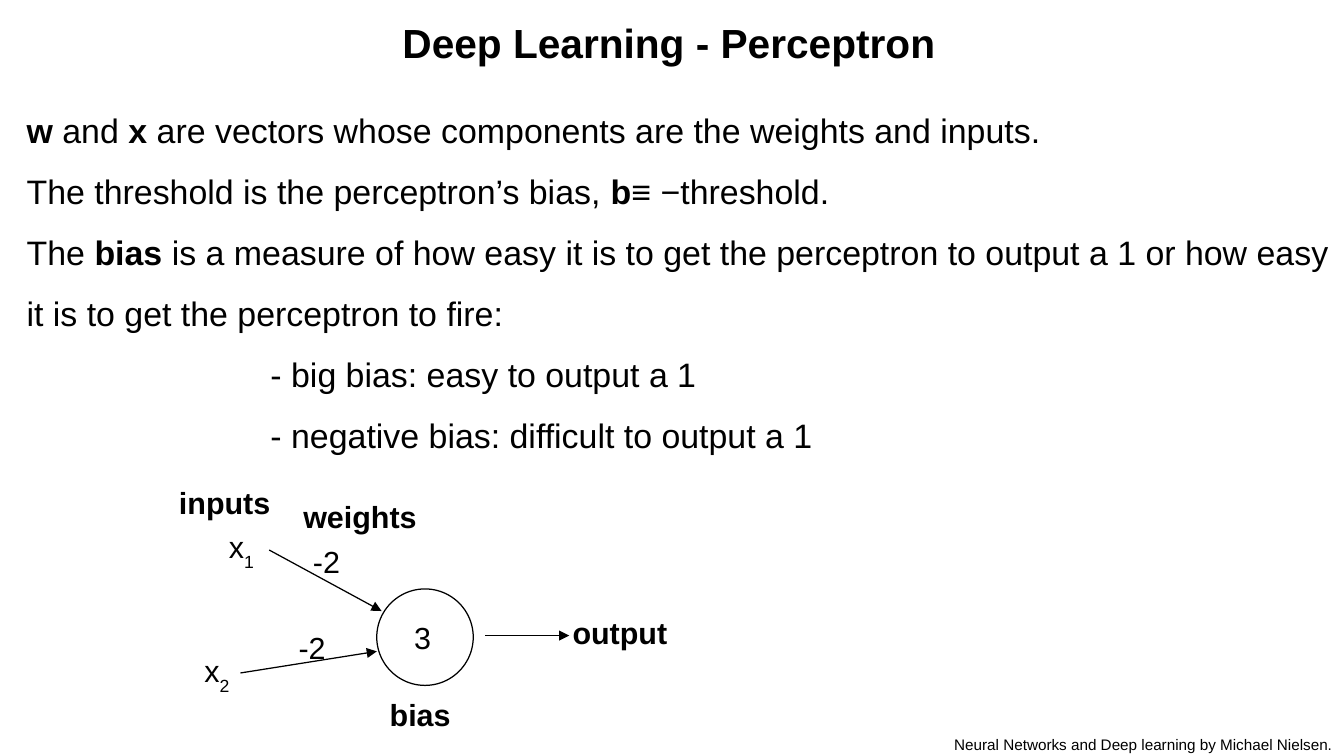
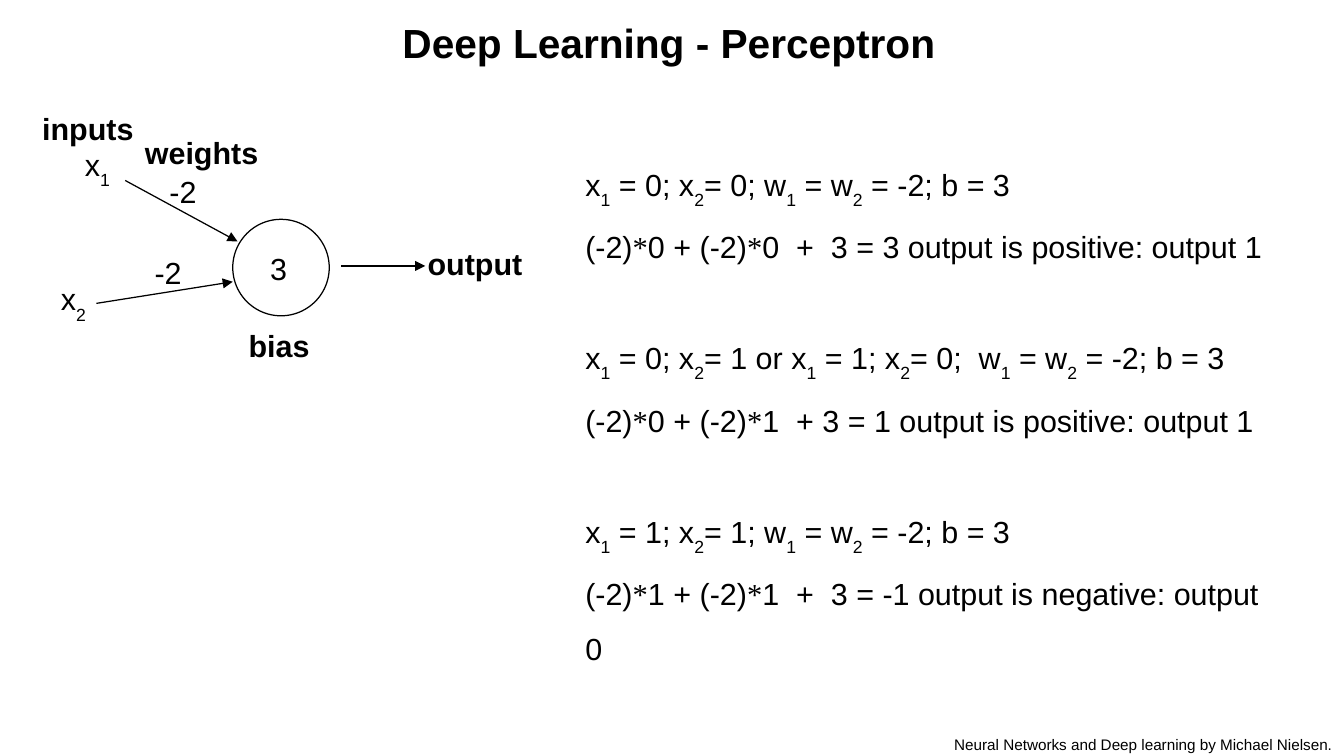
from lxml import etree
from pptx import Presentation
from pptx.dml.color import RGBColor
from pptx.enum.shapes import MSO_CONNECTOR as Connector, MSO_SHAPE as Preset
from pptx.enum.text import MSO_ANCHOR as Anchor, MSO_AUTO_SIZE as AutoSize, PP_ALIGN as Align
from pptx.oxml.ns import qn
from pptx.util import Cm, Pt

BLACK = RGBColor(0x00, 0x00, 0x00)
FONT = "Arial"
SYMBOL_FONT = "Times New Roman"
LINE_WIDTH = Pt(0.75)
DIAMETER = 2.01

TITLE = "Deep Learning - Perceptron"
TITLE_BOX = (8.13, 0.25, 11.7, 1.19)
SOURCE = "Neural Networks and Deep learning by Michael Nielsen."
SOURCE_BOX = (19.63, 15.19, 8.56, 0.53)

BOLD, SUBSCRIPT, SYMBOL = "bold", "subscript", "symbol"

# fields: emphasis of the parts between bars, text, left indent in cm, space before in pt
DEFINITIONS = [
    (BOLD, "|w| and |x| are vectors whose components are the weights and inputs.", 0, 0),
    (BOLD, "The threshold is the perceptron’s bias,| b|≡ −threshold.", 0, 0),
    (BOLD, "The |bias| is a measure of how easy it is to get the perceptron to output a 1 "
           "or how easy it is to get the perceptron to fire:", 0, 0),
    (BOLD, "- big bias: easy to output a 1", 5.08, 0),
    (BOLD, "- negative bias: difficult to output a 1", 5.08, 0),
]
PARAMETERS = "w|1| = w|2| = -2; b = 3"
CASES = [
    ("x|1| = 0; x|2|= 0; ", "(-2)|*|0 + (-2)|*|0  +  3 = 3 output is positive: output 1"),
    ("x|1| = 0; x|2|= 1 or x|1| = 1; x|2|= 0;  ",
     "(-2)|*|0 + (-2)|*|1  + 3 = 1 output is positive: output 1"),
    ("x|1| = 1; x|2|= 1; ", "(-2)|*|1 + (-2)|*|1  +  3 = -1 output is negative: output 0"),
]
CASE_GAP = 31
CALCULATIONS = [
    line
    for index, (inputs, result) in enumerate(CASES)
    for line in (
        (SUBSCRIPT, inputs + PARAMETERS, 0, CASE_GAP if index else 0),
        (SYMBOL, result, 0, 0),
    )
]

SLIDES = [
    {"lines": DEFINITIONS, "size": 20, "body": (0.3, 1.73, 28.07, 7.87), "neuron": (7.85, 12.27)},
    {"lines": CALCULATIONS, "size": 18, "body": (11.94, 2.87, 15.06, 11.23), "neuron": (4.85, 4.57)},
]
ARROWS = [
    ((-2.24, -0.81), (0.1, 0.46)),
    ((-2.84, 1.75), (0, 1.3)),
    ((2.26, 0.97), (4.01, 0.97)),
]
LABELS = [
    (SUBSCRIPT, "x|1|", 1.24, [(4.52, 10.87), (1.52, 2.92)]),
    (SUBSCRIPT, "x|2|", 1.24, [(4.01, 13.46), (1.02, 5.72)]),
    (BOLD, "|output|", 2.9, [(11.68, 12.67), (8.66, 4.98)]),
    (BOLD, "-2", 1.65, [(6.27, 11.18), (3.28, 3.48)]),
    (BOLD, "-2", 1.45, [(5.97, 12.98), (2.97, 5.16)]),
    (BOLD, "3", 0.88, [(8.38, 12.78), (5.38, 5.08)]),
    (BOLD, "|bias|", 2.11, [(7.87, 14.38), (4.93, 6.68)]),
    (BOLD, "|weights|", 3.05, [(6.07, 10.26), (2.77, 2.67)]),
    (BOLD, "|inputs|", 2.44, [(3.48, 9.96), (0.63, 2.16)]),
]
LABEL_HEIGHT = 1.02


def place(shape, box):
    shape.left, shape.top, shape.width, shape.height = map(Cm, box)


def prepare_frame(shape):
    frame = shape.text_frame
    frame.word_wrap = True
    frame.auto_size = AutoSize.NONE
    frame.vertical_anchor = Anchor.TOP
    return frame


def add_runs(paragraph, emphasis, text, size):
    for index, part in enumerate(text.split("|")):
        if not part:
            continue
        emphasized = index % 2 == 1
        run = paragraph.add_run()
        run.text = part
        font = run.font
        font.name = SYMBOL_FONT if emphasized and emphasis == SYMBOL else FONT
        font.size = Pt(size)
        font.bold = emphasized and emphasis == BOLD
        font.color.rgb = BLACK
        if emphasized and emphasis == SUBSCRIPT:
            run._r.get_or_add_rPr().set("baseline", "-33000")


def add_label(slide, box, emphasis, text, size):
    label = slide.shapes.add_textbox(*map(Cm, box))
    add_runs(prepare_frame(label).paragraphs[0], emphasis, text, size)


def fill_title(slide):
    title = slide.shapes.title
    place(title, TITLE_BOX)
    paragraph = prepare_frame(title).paragraphs[0]
    paragraph.alignment = Align.LEFT
    add_runs(paragraph, BOLD, f"|{TITLE}|", 24)


def fill_body(slide, content):
    body = slide.placeholders[1]
    place(body, content["body"])
    frame = prepare_frame(body)
    for index, (emphasis, text, indent, gap) in enumerate(content["lines"]):
        paragraph = frame.add_paragraph() if index else frame.paragraphs[0]
        properties = paragraph._p.get_or_add_pPr()
        properties.set("marL", str(Cm(indent)))
        properties.set("indent", "0")
        etree.SubElement(properties, qn("a:buNone"))
        paragraph.line_spacing = 1.5
        paragraph.space_before = Pt(gap)
        add_runs(paragraph, emphasis, text, content["size"])


def add_arrow(slide, start, end):
    arrow = slide.shapes.add_connector(Connector.STRAIGHT, *map(Cm, start + end))
    arrow.line.color.rgb = BLACK
    arrow.line.width = LINE_WIDTH
    etree.SubElement(arrow.line._get_or_add_ln(), qn("a:tailEnd"), type="triangle")
    etree.SubElement(arrow._element.spPr, qn("a:effectLst"))


def add_perceptron(slide, number, neuron):
    left, top = neuron
    circle = slide.shapes.add_shape(Preset.OVAL, *map(Cm, (left, top, DIAMETER, DIAMETER)))
    circle.shadow.inherit = False
    circle.fill.background()
    circle.line.color.rgb = BLACK
    circle.line.width = LINE_WIDTH
    for start, end in ARROWS:
        add_arrow(slide, *((left + x, top + y) for x, y in (start, end)))
    for emphasis, text, width, positions in LABELS:
        add_label(slide, (*positions[number], width, LABEL_HEIGHT), emphasis, text, 18)


def main():
    presentation = Presentation()
    presentation.slide_width = Cm(28)
    presentation.slide_height = Cm(15.75)
    for number, content in enumerate(SLIDES):
        slide = presentation.slides.add_slide(presentation.slide_layouts[1])
        fill_title(slide)
        fill_body(slide, content)
        add_perceptron(slide, number, content["neuron"])
        add_label(slide, SOURCE_BOX, BOLD, SOURCE, 9)
    presentation.save("out.pptx")


if __name__ == "__main__":
    main()
